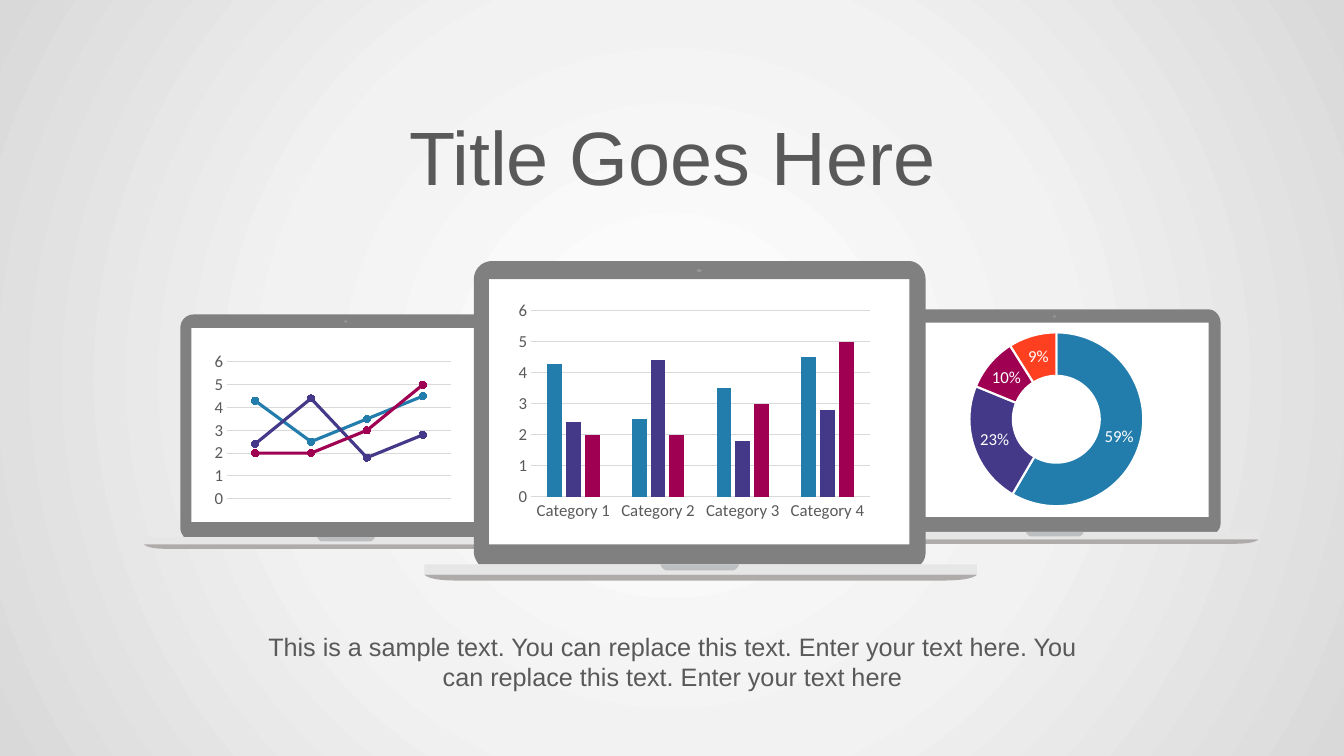
from lxml.etree import SubElement
from pptx import Presentation
from pptx.chart.data import CategoryChartData
from pptx.dml.color import RGBColor
from pptx.enum.chart import XL_CHART_TYPE, XL_MARKER_STYLE, XL_TICK_MARK
from pptx.enum.shapes import MSO_SHAPE
from pptx.enum.text import MSO_AUTO_SIZE, PP_ALIGN
from pptx.oxml.ns import qn
from pptx.util import Inches, Pt

# Content
TITLE = "Title Goes Here"
BODY = ("This is a sample text. You can replace this text. Enter your text here. "
        "You can replace this text. Enter your text here")
CATEGORIES = ["Category 1", "Category 2", "Category 3", "Category 4"]
SERIES = {"Series 1": (4.3, 2.5, 3.5, 4.5),
          "Series 2": (2.4, 4.4, 1.8, 2.8),
          "Series 3": (2, 2, 3, 5)}
SHARES = {"Series 1": (59, 23, 10, 9)}
PALETTE = ["227DAC", "443988", "9F0052", "FE4020"]
GRAY, RULE, WHITE = "595959", "D9D9D9", "FFFFFF"
BACKGROUND = [(0, "FFFFFF"), (50, "F2F2F2"), (100, "D9D9D9")]

# Laptop drawn on a design 5.48 wide: left, top and width on the slide
DESIGN_W = 5.48
LAPTOPS = [(8.46, 3.07, 4.02), (1.43, 3.12, 4.02), (4.21, 2.59, 5.48)]
# A point is a pair; a curve is two handles and an end point
FRAME = [[(4.97, 2.89), (4.97, 0.18), (4.97, 0.08, 4.89, 0, 4.81, 0), (0.67, 0),
          (0.57, 0, 0.49, 0.08, 0.49, 0.18), (0.49, 2.89),
          (0.49, 2.93, 0.51, 2.97, 0.54, 3.01), (4.92, 3.01),
          (4.96, 2.97, 4.97, 2.93, 4.97, 2.89)],
         [(4.81, 2.81), (0.64, 2.81), (0.64, 0.18), (4.81, 0.18)]]
NOTCH = [[(2.34, 3.01), (2.34, 3.01, 2.36, 3.07, 2.41, 3.07), (3.05, 3.07),
          (3.1, 3.07, 3.12, 3.01, 3.12, 3.01)]]
FOOT = [[(0, 3.11), (0, 3.11, 0.03, 3.17, 0.31, 3.17), (5.15, 3.17),
         (5.45, 3.17, 5.48, 3.11, 5.48, 3.11)]]
PARTS = [("rect", (0.55, 0.12, 4.35, 2.79), WHITE),
         ("outline", FRAME, "808080"),
         ("rect", (0, 3.01, 5.48, 0.1), "E7E6E6"),
         ("oval", (2.7, 0.08, 0.05, 0.03), "939598"),
         ("outline", NOTCH, "BCBEC0"),
         ("outline", FOOT, "AFABAB")]
PRESETS = {"rect": MSO_SHAPE.RECTANGLE, "oval": MSO_SHAPE.OVAL}


def color(value):
    return RGBColor.from_string(value)


def flatten(contour, steps=10):
    points = [contour[0]]
    for part in contour[1:]:
        if len(part) == 2:
            points.append(part)
            continue
        start, handles = points[-1], (part[:2], part[2:4], part[4:])
        for i in range(1, steps + 1):
            t = i / steps
            weights = ((1 - t) ** 3, 3 * t * (1 - t) ** 2, 3 * t * t * (1 - t), t ** 3)
            points.append(tuple(sum(w * q[axis] for w, q in zip(weights, (start, *handles)))
                                for axis in (0, 1)))
    return points


def add_laptop(slide, left, top, width):
    k = width / DESIGN_W

    def place(x, y):
        return Inches(left + x * k), Inches(top + y * k)

    for kind, geometry, fill in PARTS:
        if kind == "outline":
            first, *others = [[place(*q) for q in flatten(c)] for c in geometry]
            builder = slide.shapes.build_freeform(*first[0])
            builder.add_line_segments(first[1:])
            for contour in others:
                builder.move_to(*contour[0])
                builder.add_line_segments(contour[1:])
            sp = builder.convert_to_shape()
        else:
            x, y, w, h = geometry
            sp = slide.shapes.add_shape(PRESETS[kind], *place(x, y), Inches(w * k), Inches(h * k))
        sp.shadow.inherit = False
        sp.fill.solid()
        sp.fill.fore_color.rgb = color(fill)
        sp.line.fill.background()


def set_font(font, size, value, name):
    font.size, font.name = Pt(size), name
    font.color.rgb = color(value)


def set_line(line, value, width):
    line.color.rgb = color(value)
    line.width = Pt(width)


def add_chart(slide, kind, box, categories, series):
    data = CategoryChartData()
    data.categories = categories
    for name, values in series.items():
        data.add_series(name, values)
    chart = slide.shapes.add_chart(kind, *map(Inches, box), data).chart
    chart.has_legend = chart.has_title = False
    set_font(chart.font, 10, "000000", "Calibri")
    chart.plots[0].vary_by_categories = False
    return chart


def style_value_axis(chart):
    axis = chart.value_axis
    axis.minimum_scale, axis.maximum_scale, axis.major_unit = 0, 6, 1
    axis.major_tick_mark = XL_TICK_MARK.NONE
    axis.format.line.fill.background()
    set_line(axis.major_gridlines.format.line, RULE, 0.75)
    set_font(axis.tick_labels.font, 12, GRAY, "Calibri")


def add_text(slide, text, box, size):
    tb = slide.shapes.add_textbox(*map(Inches, box))
    tf = tb.text_frame
    tf.word_wrap = True
    tf.auto_size = MSO_AUTO_SIZE.SHAPE_TO_FIT_TEXT
    p = tf.paragraphs[0]
    p.text = text
    p.alignment = PP_ALIGN.CENTER
    set_font(p.runs[0].font, size, GRAY, "Arial")


prs = Presentation()
prs.slide_width, prs.slide_height = Inches(13.33), Inches(7.5)
slide = prs.slides.add_slide(prs.slide_layouts[6])

# Radial background
slide.background.fill.gradient()
grad = slide._element.find(".//" + qn("a:gradFill"))
for child in list(grad):
    grad.remove(child)
stops = SubElement(grad, qn("a:gsLst"))
for position, value in BACKGROUND:
    stop = SubElement(stops, qn("a:gs"), pos=str(position * 1000))
    SubElement(stop, qn("a:srgbClr"), val=value)
radial = SubElement(grad, qn("a:path"), path="circle")
SubElement(radial, qn("a:fillToRect"), {side: "50000" for side in "ltrb"})

# Laptops, the middle one in front
for laptop in LAPTOPS:
    add_laptop(slide, *laptop)

# Column chart
columns = add_chart(slide, XL_CHART_TYPE.COLUMN_CLUSTERED, (5.07, 2.94, 3.63, 2.27),
                    CATEGORIES, SERIES)
columns.plots[0].gap_width, columns.plots[0].overlap = 219, -27
style_value_axis(columns)
axis = columns.category_axis
axis.major_tick_mark = XL_TICK_MARK.NONE
set_line(axis.format.line, RULE, 0.75)
set_font(axis.tick_labels.font, 12, GRAY, "Calibri")
for s, value in zip(columns.series, PALETTE):
    s.format.fill.solid()
    s.format.fill.fore_color.rgb = color(value)

# Doughnut chart
doughnut = add_chart(slide, XL_CHART_TYPE.DOUGHNUT, (9.12, 3.16, 2.72, 2),
                     ["1", "2", "3", "4"], SHARES)
plot = doughnut.plots[0]
plot._element.find(qn("c:holeSize")).set("val", "50")
for i, value in enumerate(PALETTE):
    point = plot.series[0].points[i].format
    point.fill.solid()
    point.fill.fore_color.rgb = color(value)
    set_line(point.line, WHITE, 1.5)
labels = plot.series[0].data_labels
labels.show_value = True
labels.number_format, labels.number_format_is_linked = '0"%"', False
set_font(labels.font, 12, WHITE, "Calibri")

# Line chart
lines = add_chart(slide, XL_CHART_TYPE.LINE_MARKERS, (2.08, 3.46, 2.44, 1.62),
                  ["1", "2", "3", "4"], SERIES)
style_value_axis(lines)
lines.category_axis.visible = False
for s, value in zip(lines.series, PALETTE):
    s.smooth = False
    set_line(s.format.line, value, 2.25)
    s.marker.style, s.marker.size = XL_MARKER_STYLE.CIRCLE, 5
    s.marker.format.fill.solid()
    s.marker.format.fill.fore_color.rgb = color(value)
    s.marker.format.line.color.rgb = color(value)

# Title and text
add_text(slide, TITLE, (3.1, 1.04, 7.14, 1.01), 54)
add_text(slide, BODY, (2.55, 6.21, 8.24, 0.71), 18)

prs.save("out.pptx")
